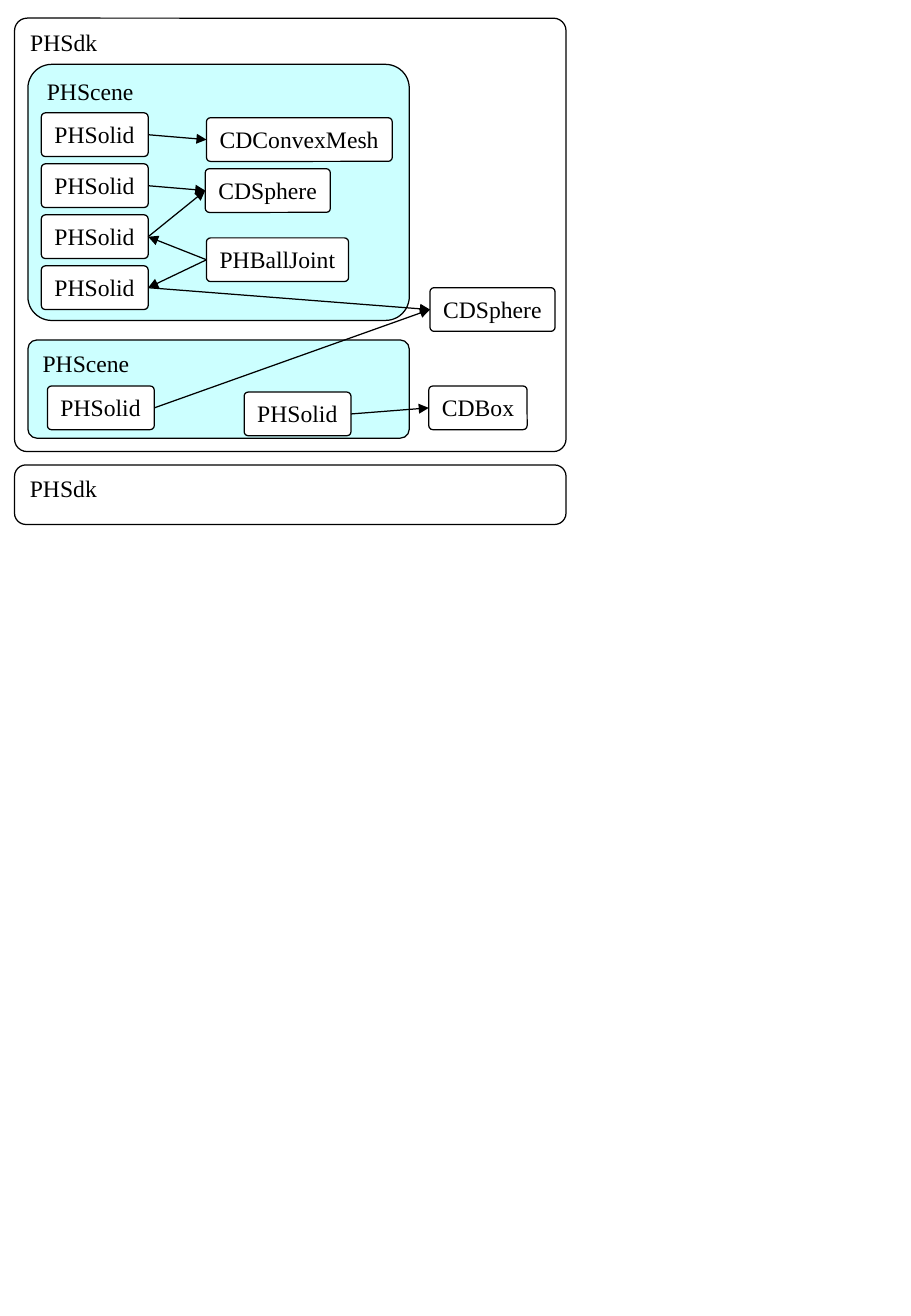
from lxml.etree import SubElement
from pptx import Presentation
from pptx.dml.color import RGBColor
from pptx.enum.shapes import MSO_CONNECTOR, MSO_SHAPE
from pptx.enum.text import MSO_ANCHOR, MSO_AUTO_SIZE, PP_ALIGN
from pptx.oxml.ns import qn
from pptx.util import Inches, Pt

BLACK = RGBColor(0x00, 0x00, 0x00)
WHITE = RGBColor(0xFF, 0xFF, 0xFF)
CYAN = RGBColor(0xCC, 0xFF, 0xFF)
LINE_WIDTH = Pt(0.75)
LEFT, RIGHT = 1, 3  # connection sites

# Grid: 750 columns by 1084 rows of square cells
CELL = Inches(0.01)
COLS, ROWS = 750, 1084
NODE_H = 36
SOLID_W = 88
SOLID_PITCH = 42


def add_box(slide, box, text, fill=WHITE, corner=0.093):
    """Rounded box with a label at its top left; box is in grid cells."""
    sp = slide.shapes.add_shape(MSO_SHAPE.ROUNDED_RECTANGLE,
                                *(v * CELL for v in box))
    sp.adjustments[0] = corner
    sp.shadow.inherit = False
    sp.fill.solid()
    sp.fill.fore_color.rgb = fill
    sp.line.color.rgb = BLACK
    sp.line.width = LINE_WIDTH
    tf = sp.text_frame
    tf.text = text
    tf.word_wrap = False
    tf.vertical_anchor = MSO_ANCHOR.TOP
    p = tf.paragraphs[0]
    p.alignment = PP_ALIGN.LEFT
    font = p.runs[0].font
    font.name, font.size = "Times New Roman", Pt(14)
    font.color.rgb = BLACK
    return sp


def add_node(slide, x, y, text="PHSolid", w=SOLID_W):
    """Small box; the narrow right margin keeps its label on one line."""
    sp = add_box(slide, (x, y, w, NODE_H), text)
    sp.text_frame.margin_right = 4 * CELL
    sp.text_frame.auto_size = MSO_AUTO_SIZE.NONE
    return sp


def add_arrow(slide, start, start_site, end, end_site):
    cxn = slide.shapes.add_connector(MSO_CONNECTOR.STRAIGHT, 0, 0, 0, 0)
    cxn.begin_connect(start, start_site)
    cxn.end_connect(end, end_site)
    cxn.line.color.rgb = BLACK
    cxn.line.width = LINE_WIDTH
    SubElement(cxn.line._get_or_add_ln(), qn("a:tailEnd"), type="triangle")
    SubElement(cxn._element.spPr, qn("a:effectLst"))


def add_upper_scene(slide, box):
    """Scene with four solids; returns the last solid."""
    x, y = box[:2]
    add_box(slide, box, "PHScene", CYAN)
    solids = [add_node(slide, x + 11, y + 40 + i * SOLID_PITCH)
              for i in range(4)]
    mesh = add_node(slide, x + 147, y + 44, "CDConvexMesh", 153)
    sphere = add_node(slide, x + 146, y + 86, "CDSphere", 103)
    joint = add_node(slide, x + 147, y + 143, "PHBallJoint", 117)

    for solid, geometry in zip(solids, (mesh, sphere, sphere)):
        add_arrow(slide, solid, RIGHT, geometry, LEFT)
    for solid in solids[2:]:
        add_arrow(slide, joint, LEFT, solid, RIGHT)
    return solids[-1]


def add_lower_scene(slide, box):
    """Scene with two solids; returns both."""
    x, y = box[:2]
    add_box(slide, box, "PHScene", CYAN)
    return add_node(slide, x + 16, y + 38), add_node(slide, x + 178, y + 43)


def add_main_sdk(slide, box):
    """SDK frame with both scenes and the shapes they share."""
    x, y = box[:2]
    add_box(slide, box, "PHSdk", corner=0.029)
    upper_solid = add_upper_scene(slide, (x + 11, y + 38, 314, 211))
    left_solid, right_solid = add_lower_scene(slide, (x + 11, y + 265, 314, 81))
    sphere = add_node(slide, x + 342, y + 222, "CDSphere", 103)
    cube = add_node(slide, x + 341, y + 303, "CDBox", 81)

    for solid, geometry in ((upper_solid, sphere), (left_solid, sphere),
                            (right_solid, cube)):
        add_arrow(slide, solid, RIGHT, geometry, LEFT)


def add_empty_sdk(slide, box):
    add_box(slide, box, "PHSdk", corner=0.19)


def main():
    prs = Presentation()
    prs.slide_width, prs.slide_height = COLS * CELL, ROWS * CELL
    slide = prs.slides.add_slide(prs.slide_layouts[6])
    add_empty_sdk(slide, (12, 383, 454, 49))
    add_main_sdk(slide, (12, 15, 454, 357))
    prs.save("out.pptx")


if __name__ == "__main__":
    main()
